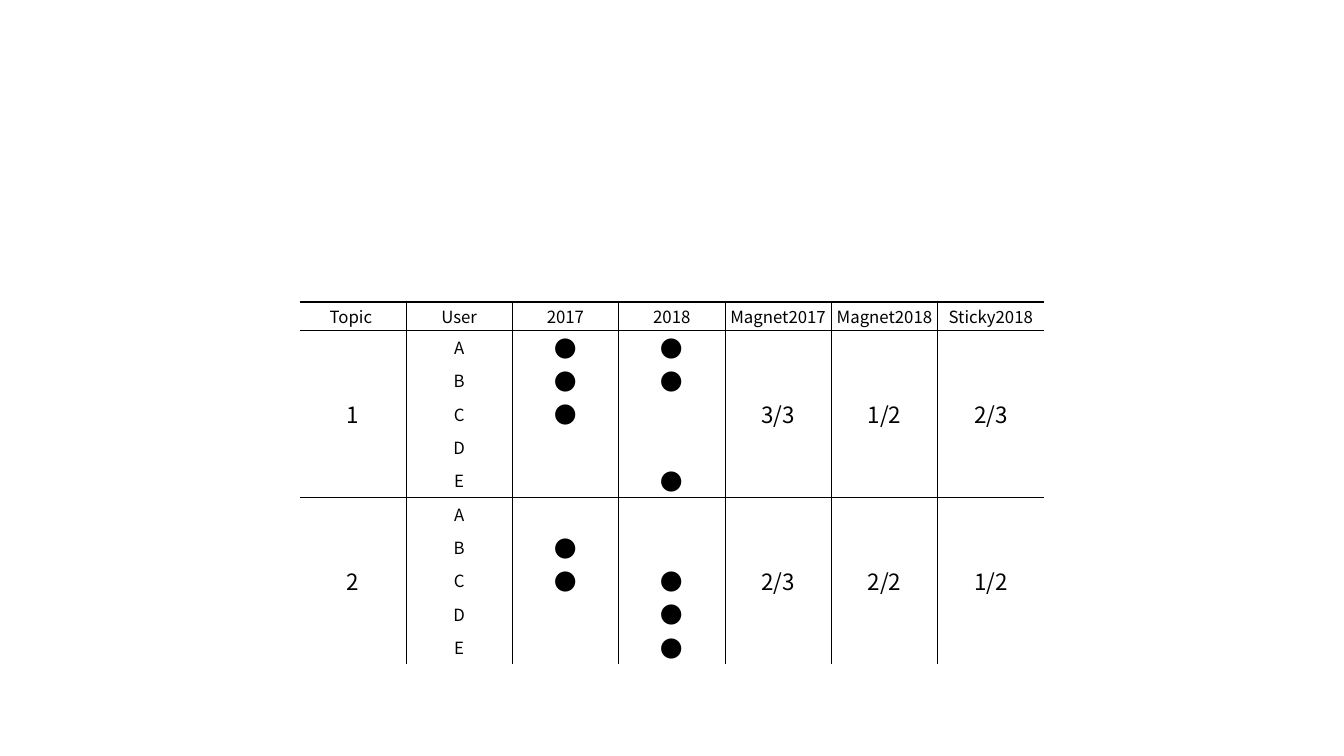
from lxml.etree import SubElement
from pptx import Presentation
from pptx.dml.color import RGBColor
from pptx.enum.text import MSO_ANCHOR, PP_ALIGN
from pptx.oxml.ns import qn
from pptx.util import Cm, Pt

FONT = "Noto Sans CJK JP"
BLACK = "000000"
NO_STYLE = "{2D5ABB26-0587-4C30-8999-92F81FD0307C}"
HEADINGS = ["Topic ", "User", "2017", "2018", "Magnet2017", "Magnet2018", "Sticky2018"]
USERS = "ABCDE"
# Topic, users active in 2017, users active in 2018, the three rates
TOPICS = [
    ("1", "ABC", "ABE", ["3/3", "1/2", "2/3"]),
    ("2", "BC", "CDE", ["2/3", "2/2", "1/2"]),
]


def color(code):
    """Turn a hex string into a colour."""
    return RGBColor.from_string(code)


def draw_borders(cell, widths):
    """Draw the left, right, top and bottom cell borders; zero means none."""
    properties = cell._tc.get_or_add_tcPr()
    for side, width in zip("LRTB", widths):
        line = SubElement(properties, qn(f"a:ln{side}"), w=str(Pt(width)))
        if width:
            fill = SubElement(line, qn("a:solidFill"))
            SubElement(fill, qn("a:srgbClr"), val=BLACK)
        else:
            SubElement(line, qn("a:noFill"))
    SubElement(properties, qn("a:noFill"))


# Cell texts: an empty row above the headings, then one block per topic
grid = [[""] * 7, HEADINGS]
for topic, active_2017, active_2018, rates in TOPICS:
    for user in USERS:
        dots = ["●" if user in active else "" for active in (active_2017, active_2018)]
        first = user == USERS[0]
        grid.append([topic if first else "", user, *dots, *(rates if first else [""] * 3)])

deck = Presentation()
deck.slide_width, deck.slide_height = Cm(33.87), Cm(19.05)
page = deck.slides.add_slide(deck.slide_layouts[6])

heights = [0.65, 0.71] + [0.84] * 10
frame = page.shapes.add_table(len(grid), 7, Cm(7.55), Cm(6.96), Cm(7 * 2.68), Cm(sum(heights)))
table = frame.table
table.first_row = table.horz_banding = False
table._tbl.tblPr.find(qn("a:tableStyleId")).text = NO_STYLE
for column in table.columns:
    column.width = Cm(2.68)
for row, height in zip(table.rows, heights):
    row.height = Cm(height)

for top in (2, 7):
    for column in (0, 4, 5, 6):
        table.cell(top, column).merge(table.cell(top + 4, column))

# Line widths by the row they lie under
rules = {0: 2, 1: 0.5, 6: 0.5}
for row, texts in enumerate(grid):
    for column, text in enumerate(texts):
        cell = table.cell(row, column)
        cell.margin_left = cell.margin_right = cell.margin_top = Cm(0.02)
        cell.margin_bottom = 0
        cell.vertical_anchor = MSO_ANCHOR.MIDDLE
        last = row + cell.span_height - 1 if cell.is_merge_origin else row
        left = 0.5 if row and column > 0 else 0
        right = 0.5 if row and column < 6 else 0
        draw_borders(cell, (left, right, rules.get(row - 1, 0), rules.get(last, 0)))

        para = cell.text_frame.paragraphs[0]
        para.alignment = PP_ALIGN.CENTER
        if text:
            span = para.add_run()
            span.text = text
            span.font.name = FONT
            span.font.size = Pt(12 if row == 1 or column == 1 else 16)
            span.font.color.rgb = color(BLACK)
            for script in ("a:ea", "a:sym"):
                if script == "a:ea":
                    SubElement(span.font._element, qn(script), typeface=FONT)
        else:
            SubElement(para._p, qn("a:endParaRPr"), sz="1000")

deck.save("out.pptx")
